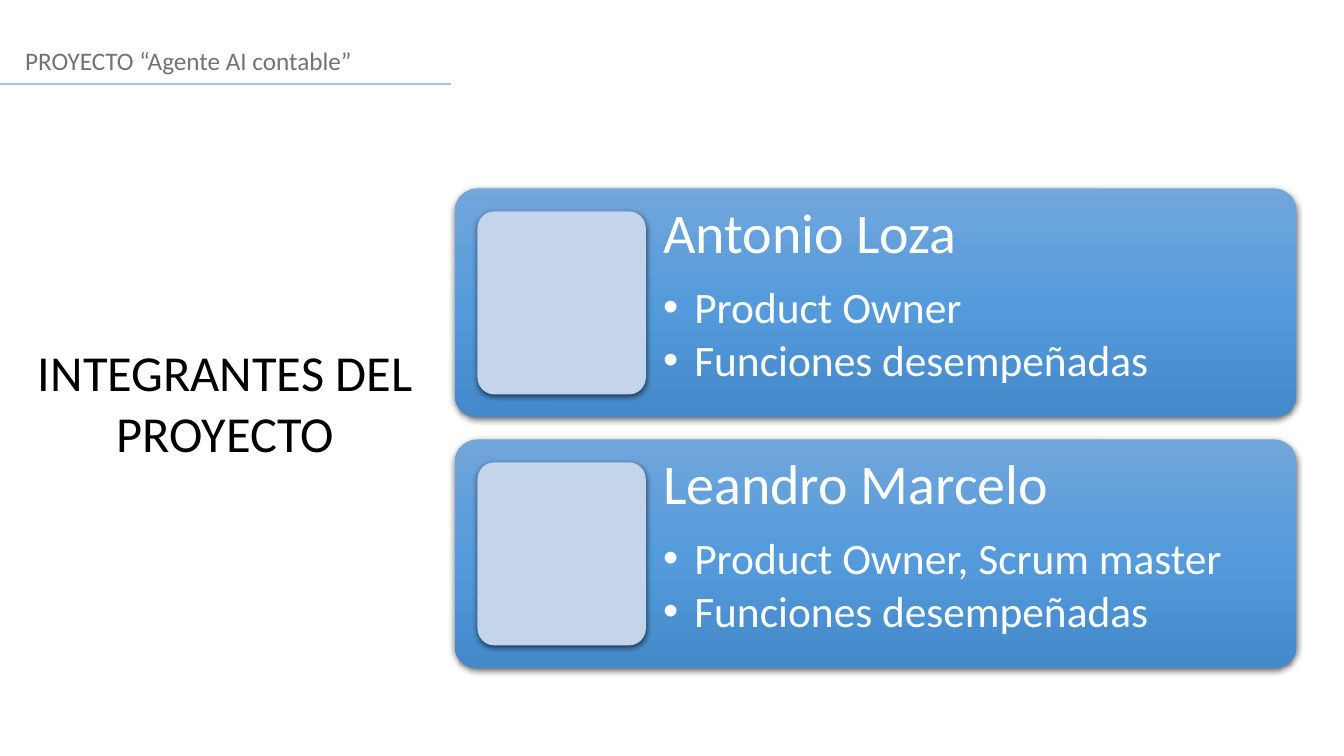
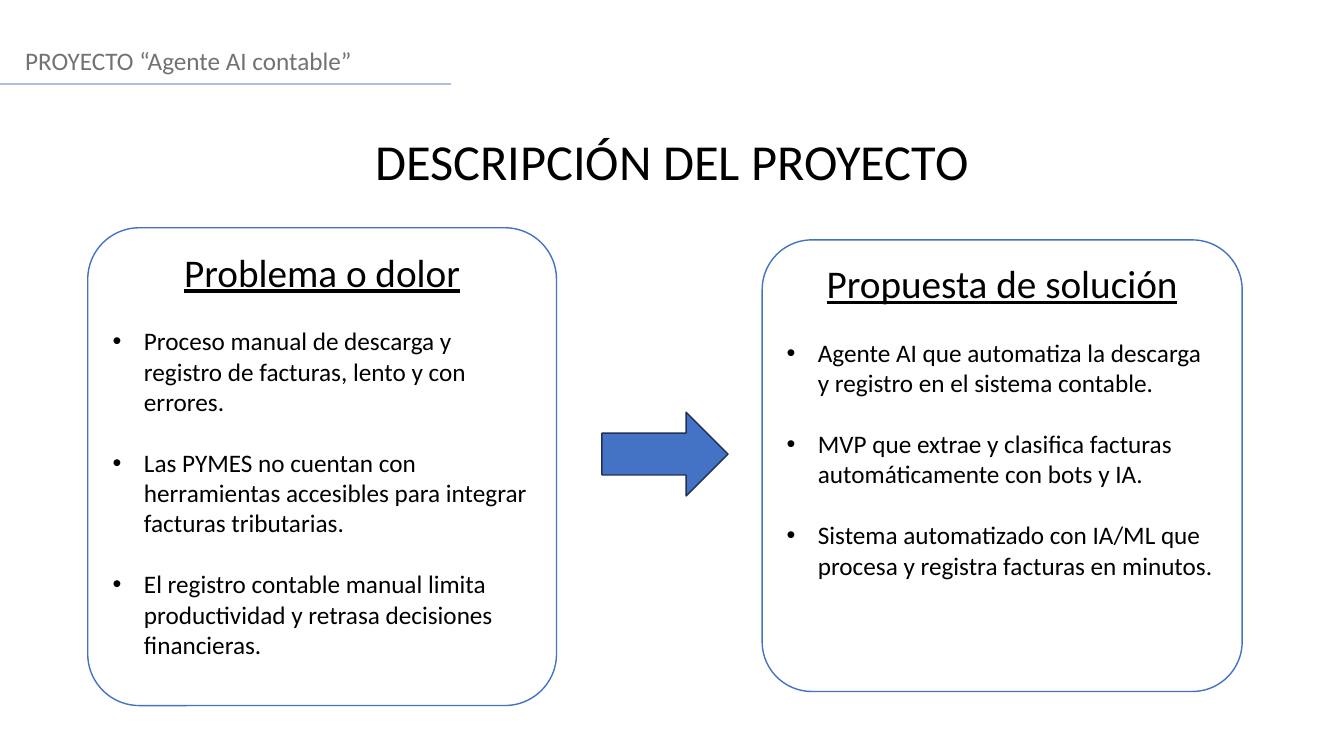
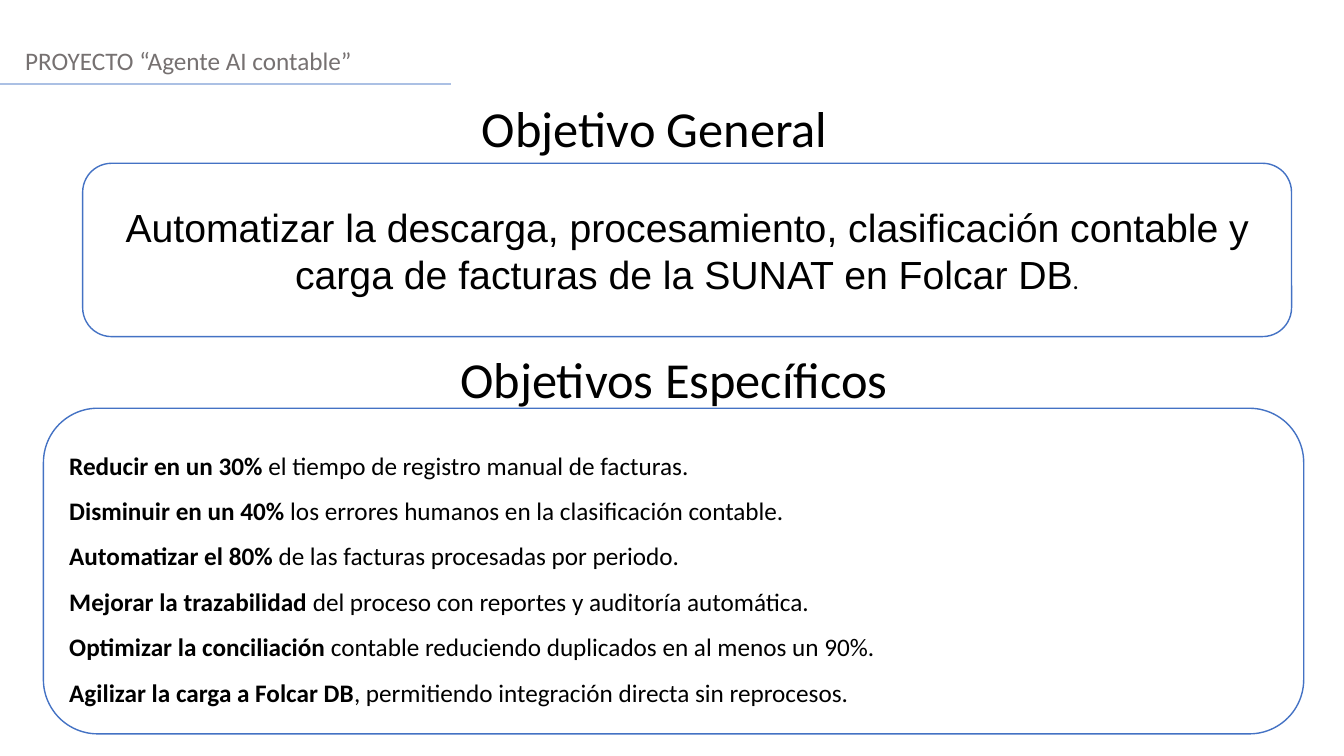
from lxml import etree
from pptx import Presentation
from pptx import util as u
from pptx.dml.color import RGBColor
from pptx.enum import shapes, text
from pptx.oxml.ns import qn

# ---- Content ----
HEADER = "PROYECTO “Agente AI contable”"

TEAM_TITLE = "INTEGRANTES DEL PROYECTO"
TEAM = [
    ("Antonio Loza", ["Product Owner", "Funciones desempeñadas"]),
    ("Leandro Marcelo", ["Product Owner, Scrum master", "Funciones desempeñadas"]),
]

DESCRIPTION_TITLE = "DESCRIPCIÓN DEL PROYECTO"
# Each panel: area, heading, points
PANELS = [
    ((6.53, 30.13, 34.88, 63.2), "Problema o dolor", [
        "Proceso manual de descarga y registro de facturas, lento y con errores.",
        "Las PYMES no cuentan con herramientas accesibles para integrar facturas tributarias.",
        "El registro contable manual limita productividad y retrasa decisiones financieras.",
    ]),
    ((56.71, 31.73, 35.71, 59.73), "Propuesta de solución", [
        "Agente AI que automatiza la descarga y registro en el sistema contable.",
        "MVP que extrae y clasifica facturas automáticamente con bots y IA.",
        "Sistema automatizado con IA/ML que procesa y registra facturas en minutos.",
    ]),
]

GENERAL_TITLE = "Objetivo General"
GENERAL_GOAL = ("Automatizar la descarga, procesamiento, clasificación contable y "
                "carga de facturas de la SUNAT en Folcar DB")
SPECIFIC_TITLE = "Objetivos Específicos"
SPECIFIC_GOALS = [
    ("Reducir en un 30%", " el tiempo de registro manual de facturas."),
    ("Disminuir en un 40%", " los errores humanos en la clasificación contable."),
    ("Automatizar el 80%", " de las facturas procesadas por periodo."),
    ("Mejorar la trazabilidad", " del proceso con reportes y auditoría automática."),
    ("Optimizar la conciliación", " contable reduciendo duplicados en al menos un 90%."),
    ("Agilizar la carga a Folcar DB", ", permitiendo integración directa sin reprocesos."),
]


# ---- Theme ----
class Theme:
    width, height = u.Inches(13.33), u.Inches(7.5)
    font, goal_font = "Calibri", "Arial"
    black, white, grey = "000000", "FFFFFF", "767171"
    rule, accent, arrow_line, avatar = "ABC0E4", "4472C4", "1E3256", "C4D5EB"
    card_stops = [(0, "71A6DB"), (50, "559BDB"), (100, "448ACA")]
    body, heading, role, title, name = 18, 28, 31, 36, 40
    blank_line = 22
    bullet_indent = u.Inches(0.31)


CENTER = {"alignment": text.PP_ALIGN.CENTER}
ROUND = shapes.MSO_SHAPE.ROUNDED_RECTANGLE
ARROW = shapes.MSO_SHAPE.RIGHT_ARROW


# ---- Helpers: areas are (left, top, width, height) in percent of the slide ----
def place(area):
    sides = (Theme.width, Theme.height) * 2
    return [u.Emu(round(side * share / 100)) for side, share in zip(sides, area)]


def assign(target, values):
    for name, value in values.items():
        setattr(target, name, value)


def add_node(parent, tag, **attributes):
    return etree.SubElement(parent, qn(tag), {k: str(v) for k, v in attributes.items()})


def write(frame, paragraphs):
    """Each paragraph is (runs, paragraph format, bulleted); each run (text, font format)."""
    for index, (runs, layout, bulleted) in enumerate(paragraphs):
        para = frame.add_paragraph() if index else frame.paragraphs[0]
        assign(para, {"alignment": text.PP_ALIGN.LEFT, **layout})
        if bulleted:
            props = para._p.get_or_add_pPr()
            props.set("marL", str(Theme.bullet_indent))
            props.set("indent", str(-Theme.bullet_indent))
            add_node(props, "a:buFont", typeface="Arial")
            add_node(props, "a:buChar", char="•")
        for words, style in runs:
            span = para.add_run()
            span.text = words
            style = {"name": Theme.font, "size": Theme.body, "color": Theme.black, **style}
            span.font.color.rgb = RGBColor.from_string(style.pop("color"))
            assign(span.font, {**style, "size": u.Pt(style["size"])})


def add_text(page, area, paragraphs, inset=None):
    frame = page.shapes.add_textbox(*place(area)).text_frame
    frame.word_wrap = True
    if inset is not None:
        sides = ("left", "top", "right", "bottom")
        assign(frame, {f"margin_{side}": inset for side in sides})
    write(frame, paragraphs)


def add_title(page, area, words):
    add_text(page, area, [([(words, {"size": Theme.title})], CENTER, False)])


def add_box(page, area, kind=ROUND, fill=None, line=None, corner=None):
    box = page.shapes.add_shape(kind, *place(area))
    box.shadow.inherit = False
    if corner is not None:
        box.adjustments[0] = corner
    if fill:
        box.fill.solid()
        box.fill.fore_color.rgb = RGBColor.from_string(fill)
    if line:
        box.line.color.rgb = RGBColor.from_string(line)
        box.line.width = u.Pt(1)
    else:
        box.line.fill.background()
    return box


def add_panel(page, area, paragraphs, anchor, corner=None):
    box = add_box(page, area, fill=Theme.white, line=Theme.accent, corner=corner)
    frame = box.text_frame
    assign(frame, {"word_wrap": True, "vertical_anchor": anchor})
    write(frame, paragraphs)


def add_raised(page, area, fill=None):
    """Rounded box with a soft shadow; the card gradient unless a fill is given."""
    box = add_box(page, area, fill=fill, corner=0.1)
    props = box._element.spPr
    if not fill:
        gradient = etree.Element(qn("a:gradFill"), rotWithShape="1")
        stops = add_node(gradient, "a:gsLst")
        for position, color in Theme.card_stops:
            stop = add_node(stops, "a:gs", pos=position * 1000)
            add_node(stop, "a:srgbClr", val=color)
        add_node(gradient, "a:lin", ang=5400000, scaled=0)
        props.find(qn("a:prstGeom")).addnext(gradient)
    shadow = add_node(props.find(qn("a:effectLst")), "a:outerShdw", blurRad=u.Pt(4.5),
                      dist=u.Pt(1.5), dir=5400000, algn="ctr", rotWithShape=0)
    add_node(add_node(shadow, "a:srgbClr", val=Theme.black), "a:alpha", val=63000)


def add_page(deck):
    """Blank page with the project header and its rule."""
    page = deck.slides.add_slide(deck.slide_layouts[6])
    add_text(page, (1.13, 5.33, 98.87, 5.33),
             [([(HEADER, {"color": Theme.grey})], {}, False)])
    left, top, length, _ = place((0, 11.07, 33.53, 0))
    rule = page.shapes.add_connector(shapes.MSO_CONNECTOR.STRAIGHT, left, top, length, top)
    rule.line.color.rgb = RGBColor.from_string(Theme.rule)
    rule.line.width = u.Pt(1.25)
    add_node(rule._element.spPr, "a:effectLst")
    return page


# ---- Slides ----
def build_team(deck):
    page = add_page(deck)
    add_title(page, (1.95, 44.53, 29.63, 17.47), TEAM_TITLE)
    left, top, width, height, step = 33.83, 24.93, 62.64, 30.27, 33.2
    avatar_left, avatar_width = left + 1.7, width / 5
    text_left = avatar_left + avatar_width
    name_style = {"size": Theme.name, "color": Theme.white}
    role_style = {"size": Theme.role, "color": Theme.white}
    for index, (name, roles) in enumerate(TEAM):
        row = top + index * step
        add_raised(page, (left, row, width, height))
        paragraphs = [([(name, name_style)],
                       {"line_spacing": 0.9, "space_after": u.Pt(14)}, False)]
        paragraphs += [([(role, role_style)],
                        {"level": 1, "line_spacing": 0.9, "space_after": u.Pt(4.65)}, True)
                       for role in roles]
        add_text(page, (text_left, row, left + width - text_left, height),
                 paragraphs, inset=u.Inches(0.17))
        add_raised(page, (avatar_left, row + height / 10, avatar_width, height * 0.8),
                   Theme.avatar)


def build_description(deck):
    page = add_page(deck)
    add_title(page, (0, 16.53, 100, 9.47), DESCRIPTION_TITLE)
    gap = {"space_after": u.Pt(Theme.blank_line)}
    for area, heading, points in PANELS:
        paragraphs = [([(heading, {"size": Theme.heading, "underline": True})],
                       {**CENTER, **gap}, False)]
        paragraphs += [([(point, {})], gap, True) for point in points]
        add_panel(page, area, paragraphs, text.MSO_ANCHOR.TOP, corner=0.11)
    add_box(page, (44.79, 54.53, 9.38, 11.07), ARROW, Theme.accent, Theme.arrow_line)


def build_goals(deck):
    page = add_page(deck)
    middle = text.MSO_ANCHOR.MIDDLE
    add_title(page, (0, 12.13, 97.44, 9.47), GENERAL_TITLE)
    add_title(page, (0.3, 45.33, 99.7, 9.47), SPECIFIC_TITLE)
    goal_style = {"name": Theme.goal_font, "size": Theme.heading}
    add_panel(page, (6.15, 21.6, 89.95, 22.93),
              [([(GENERAL_GOAL, goal_style), (".", {})], CENTER, False)], middle)
    add_panel(page, (3.23, 54, 93.77, 43.07),
              [([(lead, {"bold": True}), (rest, {})], {"line_spacing": 1.5}, False)
               for lead, rest in SPECIFIC_GOALS], middle)


def main():
    deck = Presentation()
    deck.slide_width, deck.slide_height = Theme.width, Theme.height
    for build in (build_team, build_description, build_goals):
        build(deck)
    deck.save("out.pptx")


if __name__ == "__main__":
    main()
